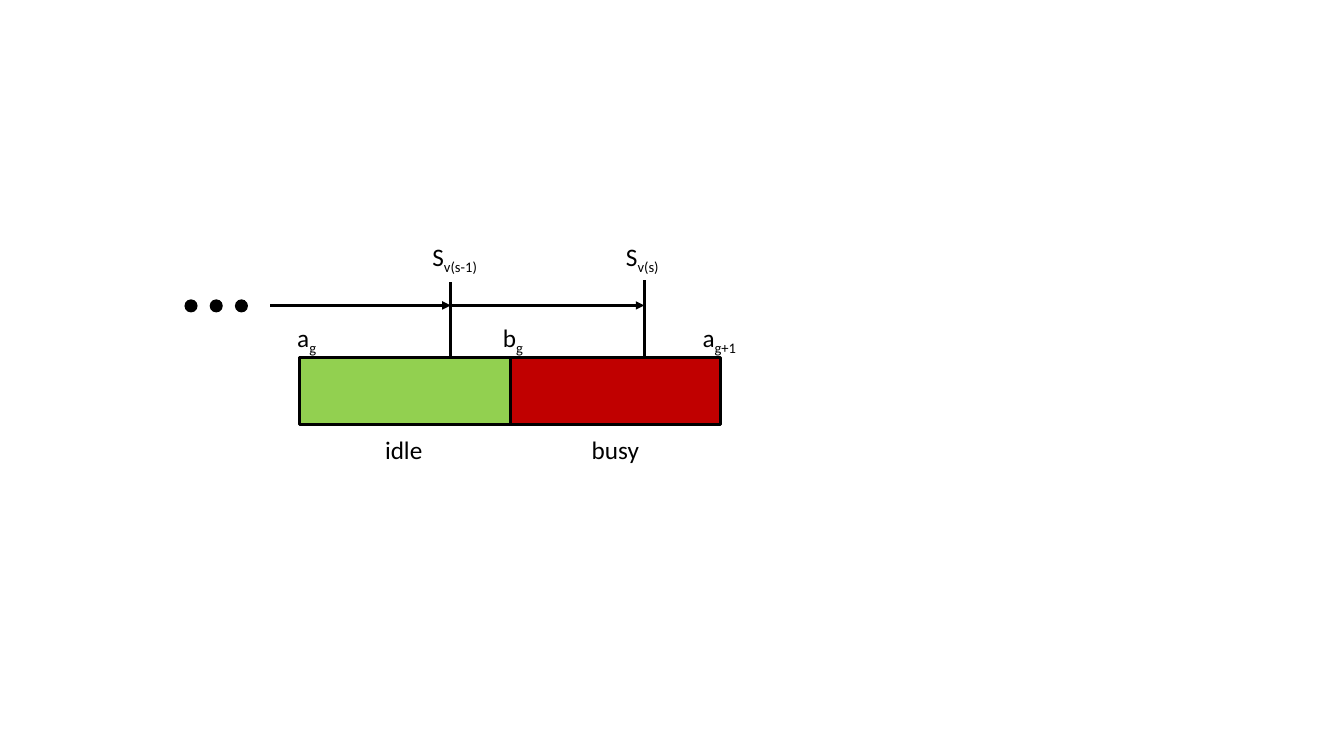
import pptx
import pptx.dml.color
import pptx.enum.shapes
import pptx.enum.text
import pptx.oxml.ns
import pptx.util
from pptx.util import Inches
from lxml import etree

INK = {"black": "000000", "idle": "92D050", "busy": "C00000"}
KIND = pptx.enum.shapes.MSO_SHAPE
FRAME = {
    "word_wrap": False,
    "auto_size": pptx.enum.text.MSO_AUTO_SIZE.SHAPE_TO_FIT_TEXT,
}
FONT = {"name": "Calibri", "size": pptx.util.Pt(18)}
STROKE = pptx.util.Pt(2)


def style(item, values):
    for name, value in values.items():
        setattr(item, name, value)


def color(name):
    return pptx.dml.color.RGBColor.from_string(INK[name])


def add_shape(slide, kind, box, fill, edge=True):
    shape = slide.shapes.add_shape(kind, *map(Inches, box))
    shape.shadow.inherit = False
    shape.fill.solid()
    shape.fill.fore_color.rgb = color(fill)
    if edge:
        shape.line.color.rgb = color("black")
        shape.line.width = STROKE
    else:
        shape.line.fill.background()


def add_line(slide, start, end, arrow=False):
    line = slide.shapes.add_connector(
        pptx.enum.shapes.MSO_CONNECTOR.STRAIGHT, *map(Inches, start + end))
    line.line.color.rgb = color("black")
    line.line.width = STROKE
    qn = pptx.oxml.ns.qn
    if arrow:
        etree.SubElement(line.line._get_or_add_ln(), qn("a:tailEnd"),
                         type="triangle")
    etree.SubElement(line._element.spPr, qn("a:effectLst"))


def add_label(slide, left, top, width, text, sub=""):
    box = slide.shapes.add_textbox(*map(Inches, (left, top, width, 0.4)))
    style(box.text_frame, FRAME)
    para = box.text_frame.paragraphs[0]
    for part, base in ((text, None), (sub, "-25000")):
        if not part:
            continue
        run = para.add_run()
        run.text = part
        style(run.font, FONT)
        run.font.color.rgb = color("black")
        if base:
            run._r.get_or_add_rPr().set("baseline", base)


def main():
    deck = pptx.Presentation()
    style(deck, {"slide_width": Inches(13.33), "slide_height": Inches(7.5)})
    slide = deck.slides.add_slide(deck.slide_layouts[6])

    # Idle and busy periods
    left, top, width, height = 2.97, 3.55, 2.09, 0.66
    for step, state in ((1, "busy"), (0, "idle")):
        add_shape(slide, KIND.RECTANGLE,
                  (left + step * width, top, width, height), state)
    add_label(slide, 3.72, 4.26, 0.58, "idle")
    add_label(slide, 5.77, 4.26, 0.68, "busy")

    # Period bounds
    for x, wide, text, sub in ((2.85, 0.4, "a", "g"), (4.89, 0.41, "b", "g"),
                               (6.87, 0.57, "a", "g+1")):
        add_label(slide, x, 3.15, wide, text, sub)

    # Event marks, with an arrow leading to each
    axis, start = 3.03, 2.68
    for mark, tip, x, wide, sub in ((4.47, 2.8, 4.19, 0.7, "v(s-1)"),
                                    (6.39, 2.78, 6.11, 0.56, "v(s)")):
        add_line(slide, (mark, tip), (mark, top))
        add_line(slide, (start, axis), (mark, axis), arrow=True)
        add_label(slide, x, 2.34, wide, "S", sub)
        start = mark

    # Dots for earlier events
    for step in range(3):
        add_shape(slide, KIND.OVAL, (1.83 + step * 0.25, 2.97, 0.13, 0.13),
                  "black", edge=False)

    deck.save("out.pptx")


if __name__ == "__main__":
    main()
